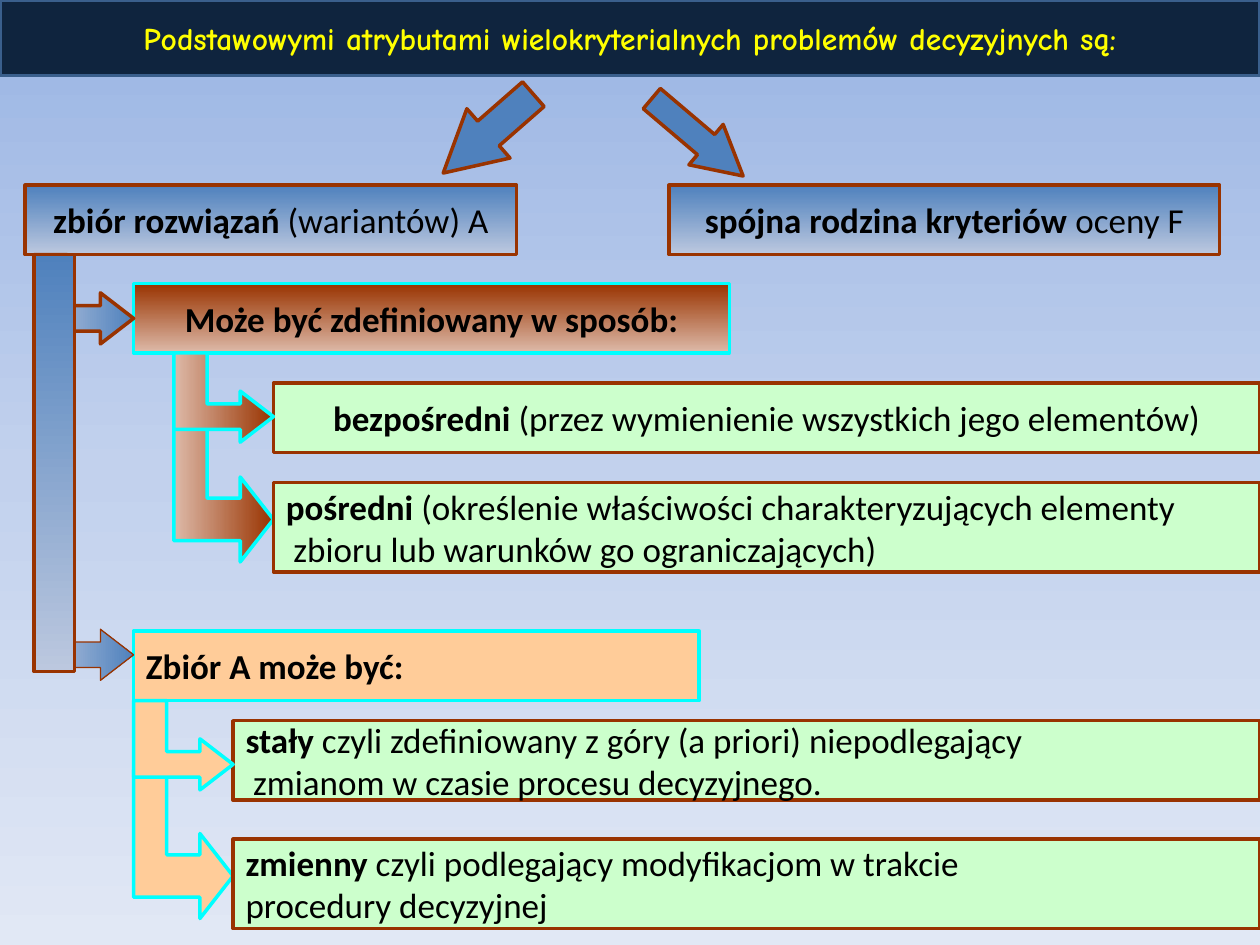
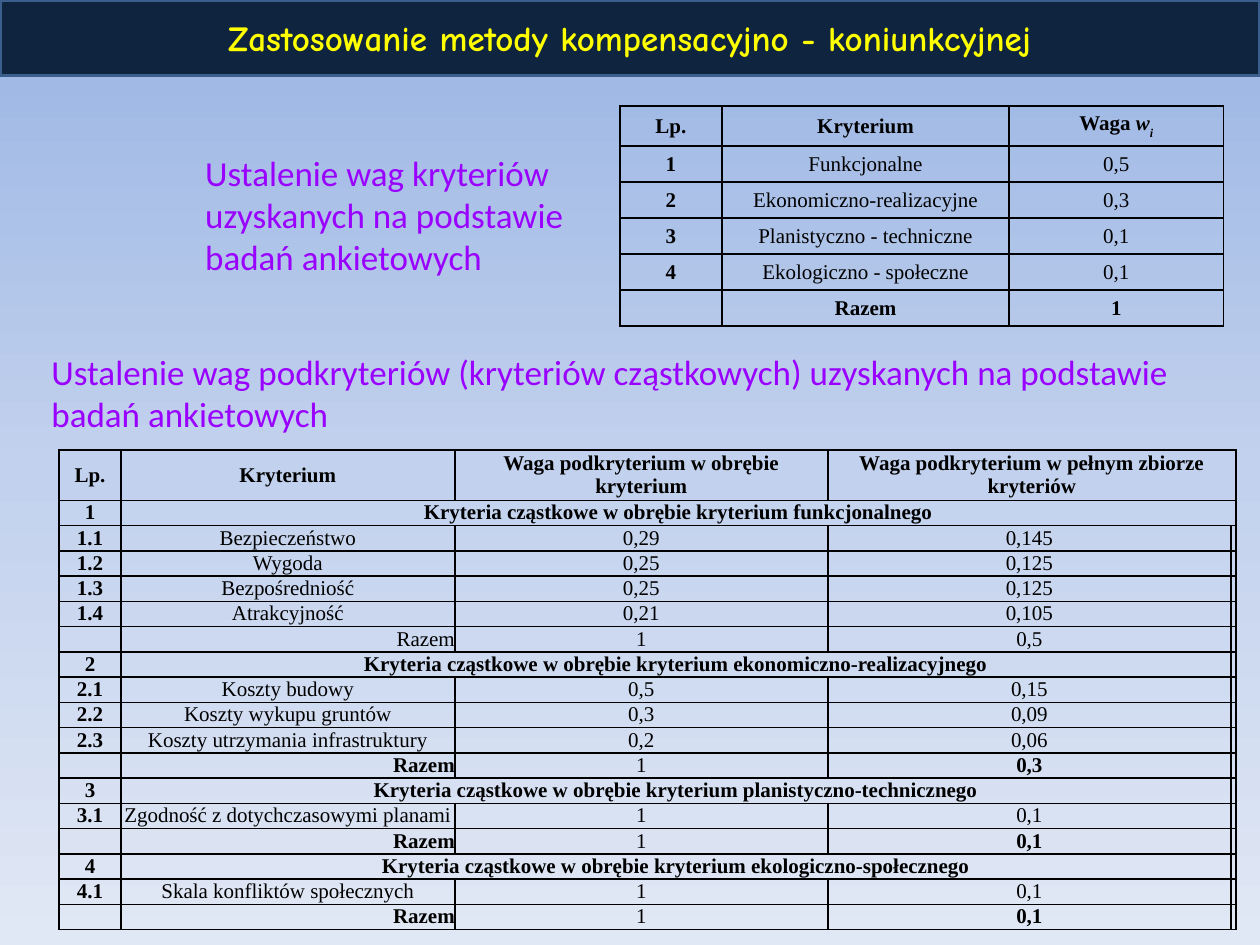
from copy import deepcopy

from lxml import etree
from pptx import Presentation
from pptx.dml.color import RGBColor
from pptx.enum.shapes import MSO_SHAPE
from pptx.enum.text import MSO_ANCHOR, MSO_AUTO_SIZE, PP_ALIGN
from pptx.oxml.ns import qn
from pptx.util import Inches, Pt

RECT, ARROW = MSO_SHAPE.RECTANGLE, MSO_SHAPE.RIGHT_ARROW
MIDDLE, TOP = MSO_ANCHOR.MIDDLE, MSO_ANCHOR.TOP
LEFT, CENTER, RIGHT = PP_ALIGN.LEFT, PP_ALIGN.CENTER, PP_ALIGN.RIGHT
FIXED = MSO_AUTO_SIZE.NONE

WIDE, HIGH = Inches(10), Inches(7.5)
COL, ROW = WIDE / 10, HIGH / 7.5
SANS, COMIC, SERIF = "Calibri", "Comic Neue", "Times New Roman"
BLACK, NAVY, EDGE, YELLOW, VIOLET = "000000", "0F243E", "3A5F8C", "FFFF00", "9900FF"
BLUE, RUST, CYAN, MINT, PEACH = "4F81BD", "993300", "00FFFF", "CCFFCC", "FFCC99"
SKY = ("9AB5E4", "C2D1ED", "E1E8F5")
STEEL, CLAY = (BLUE, "BCC8DF"), (RUST, "DDBAA9")
ELBOW = ((3, 5), (2, 3), (2, 4), (1, 4), (1, 0), (0, 0), (0, 6), (2, 6), (2, 7))

WEIGHTS = (
    ("Lp.", "Kryterium", "Waga "),
    ("1", "Funkcjonalne", "0,5"),
    ("2", "Ekonomiczno-realizacyjne", "0,3"),
    ("3", "Planistyczno - techniczne", "0,1"),
    ("4", "Ekologiczno - społeczne", "0,1"),
    ("", "Razem", "1"),
)
HEADS = (
    "Lp.", "Kryterium", "Waga podkryterium w obrębie kryterium",
    "Waga podkryterium w pełnym zbiorze kryteriów", "",
)
GROUPS = (
    ("funkcjonalnego", "0,5", (
        ("Bezpieczeństwo", "0,29", "0,145"),
        ("Wygoda", "0,25", "0,125"),
        ("Bezpośredniość", "0,25", "0,125"),
        ("Atrakcyjność", "0,21", "0,105"),
    )),
    ("ekonomiczno-realizacyjnego", "0,3", (
        ("Koszty budowy", "0,5", "0,15"),
        ("Koszty wykupu gruntów", "0,3", "0,09"),
        ("Koszty utrzymania infrastruktury", "0,2", "0,06"),
    )),
    ("planistyczno-technicznego", "0,1", (
        ("Zgodność z dotychczasowymi planami", "1", "0,1"),
    )),
    ("ekologiczno-społecznego", "0,1", (
        ("Skala konfliktów społecznych", "1", "0,1"),
    )),
)


def tint(code):
    """Turn a hex string into a colour."""
    return RGBColor.from_string(code)


def place(left, top, width, height):
    """Turn grid columns and rows into slide lengths."""
    return int(left * COL), int(top * ROW), int(width * COL), int(height * ROW)


def blend(fill, codes, angle=270):
    """Fill with evenly spaced gradient stops."""
    fill.gradient()
    fill.gradient_angle = angle
    for stop, code, spot in zip(fill.gradient_stops, (codes[0], codes[-1]), (0, 1)):
        stop.color.rgb = tint(code)
        stop.position = spot


def paint(shape, fill, line, weight=2, angle=270):
    """Give a shape a plain or blended fill and an outline."""
    shape.shadow.inherit = False
    if isinstance(fill, tuple):
        blend(shape.fill, fill, angle)
    else:
        shape.fill.solid()
        shape.fill.fore_color.rgb = tint(fill)
    shape.line.color.rgb = tint(line)
    shape.line.width = Pt(weight)


def style(par, size, face, code, bold=None, align=LEFT):
    """Set the font and alignment of a paragraph."""
    par.alignment = align
    font = par.font
    font.size, font.name, font.bold = Pt(size), face, bold
    font.color.rgb = tint(code)


def start(deck, title, size):
    """Add a slide with the shared backdrop and title band."""
    slide = deck.slides.add_slide(deck.slide_layouts[5])
    fill = slide.background.fill
    blend(fill, SKY)
    stops = slide.background._cSld.find(".//" + qn("a:gsLst"))
    stops.insert(1, deepcopy(stops[0]))
    mid = fill.gradient_stops[1]
    mid.color.rgb, mid.position = tint(SKY[1]), 0.5
    band = slide.shapes.title
    band.left, band.top, band.width, band.height = place(0, 0, 10, 0.6)
    paint(band, NAVY, EDGE)
    frame = band.text_frame
    frame.text = title
    frame.auto_size, frame.word_wrap, frame.vertical_anchor = FIXED, True, MIDDLE
    style(frame.paragraphs[0], size, COMIC, YELLOW, True, CENTER)
    return slide


def panel(slide, box, fill, line, key, rest="", align=LEFT, more="", dent=0):
    """Add a box with a bold key, its text and a second line."""
    shape = slide.shapes.add_shape(RECT, *place(*box))
    paint(shape, fill, line)
    frame = shape.text_frame
    frame.word_wrap, frame.vertical_anchor = False, MIDDLE
    par = frame.paragraphs[0]
    style(par, 20, SANS, BLACK, align=align)
    for text, bold in ((key, True), (rest, False)):
        if text:
            run = par.add_run()
            run.text, run.font.bold = text, bold
    if more:
        par = frame.add_paragraph()
        par.text = more
        par._p.get_or_add_pPr().set("marL", str(Inches(dent)))
        style(par, 20, SANS, BLACK)


def elbow(slide, box, fill, line, weight=2):
    """Add an arrow that runs down and turns right, on a 3 by 7 grid."""
    left, top, width, height = place(*box)
    spots = [(int(left + x * width / 3), int(top + y * height / 7)) for x, y in ELBOW]
    build = slide.shapes.build_freeform(*spots[0])
    build.add_line_segments(spots[1:], close=True)
    if isinstance(fill, tuple):
        fill = fill[::-1]
    paint(build.convert_to_shape(), fill, line, weight, 0)


def point(slide, box, turn):
    """Add a turned block arrow."""
    shape = slide.shapes.add_shape(ARROW, *place(*box))
    shape.adjustments[0], shape.adjustments[1] = 0.5, 0.917
    shape.rotation = turn
    paint(shape, BLUE, RUST)


def branch(slide, box, fill, head, align, shift, drop, leaves):
    """Add a head box with two elbows leading to its leaves."""
    left, top, width, height = box
    stem, base = left + shift, top + height
    elbow(slide, (stem, base + drop, 0.79, 1.18), fill, CYAN)
    panel(slide, box, fill, CYAN, head, align=align)
    inner = stem + 0.79
    for gap, tall, words in leaves:
        panel(slide, (inner, base + gap, 10 - inner, tall), MINT, RUST, *words)
    elbow(slide, (stem, base, 0.79, 0.71), fill, CYAN)


def trunk(slide, box):
    """Add the side column and its two arrows."""
    left, top, width, height = box
    for gap, weight in ((0, 2), (2.67, 0.75)):
        elbow(slide, (left, top + gap, 0.79, 0.71), STEEL, RUST, weight)
    paint(slide.shapes.add_shape(RECT, *place(*box)), STEEL, RUST)


def traits(deck):
    """Build the slide of problem attributes."""
    slide = start(
        deck, "Podstawowymi atrybutami wielokryterialnych problemów decyzyjnych są:", 18
    )
    point(slide, (5.06, 0.88, 0.95, 0.42), 40.3)
    point(slide, (3.4, 0.8, 0.95, 0.52), 138.8)
    for left, width, key, rest in (
        (0.2, 3.9, "zbiór rozwiązań", " (wariantów) A"),
        (5.31, 4.37, "spójna rodzina kryteriów", " oceny F"),
    ):
        panel(slide, (left, 1.47, width, 0.55), STEEL, RUST, key, rest, CENTER)
    branch(
        slide, (1.06, 2.25, 4.73, 0.55), CLAY, "Może być zdefiniowany w sposób:",
        CENTER, 0.32, 0.48, (
            (0.24, 0.55, ("bezpośredni ", "(przez wymienienie wszystkich jego elementów)",
                          CENTER)),
            (1.03, 0.71, ("pośredni ", "(określenie właściwości charakteryzujących elementy",
                          LEFT, "zbioru lub warunków go ograniczających)", 0.06)),
        ),
    )
    branch(
        slide, (1.06, 5.01, 4.49, 0.55), PEACH, "Zbiór A może być:",
        LEFT, 0, 0.55, (
            (0.16, 0.63, ("stały ", "czyli zdefiniowany z góry (a priori) niepodlegający",
                          LEFT, "zmianom w czasie procesu decyzyjnego.", 0.06)),
            (1.1, 0.71, ("zmienny", " czyli podlegający modyfikacjom w trakcie",
                         LEFT, "procedury decyzyjnej")),
        ),
    )
    trunk(slide, (0.27, 2.02, 0.32, 3.31))


def grid(slide, spot, cols, rows):
    """Add an empty table with the given column widths and row heights."""
    box = place(*spot, sum(cols), sum(rows))
    table = slide.shapes.add_table(len(rows), len(cols), *box).table
    table.first_row = table.horz_banding = False
    for part, width in zip(table.columns, cols):
        part.width = int(width * COL)
    for part, height in zip(table.rows, rows):
        part.height = int(height * ROW)
    return table


def fit(cell, text, bold, align=CENTER, tight=False):
    """Write a clear cell with black borders."""
    cell.fill.background()
    cell.vertical_anchor = MIDDLE
    if tight:
        cell.margin_left = cell.margin_right = cell.margin_top = cell.margin_bottom = 0
    par = cell.text_frame.paragraphs[0]
    if text:
        par.text = text
    else:
        etree.SubElement(par._p, qn("a:endParaRPr"), sz="1200")
    style(par, 12, SERIF, BLACK, bold, align)
    prop = cell._tc.get_or_add_tcPr()
    for spot, side in enumerate("LRTB"):
        line = etree.Element(qn("a:ln" + side), w=str(Pt(1)))
        fill = etree.SubElement(line, qn("a:solidFill"))
        etree.SubElement(fill, qn("a:srgbClr"), val=BLACK)
        prop.insert(spot, line)


def main_grid(slide, spot):
    """Add the table of main weights."""
    table = grid(slide, spot, (0.81, 2.28, 1.7), [0.32] + [0.28] * 5)
    last = len(WEIGHTS) - 1
    for r, line in enumerate(WEIGHTS):
        for c, text in enumerate(line):
            fit(table.cell(r, c), text, c == 0 or r in (0, last))
    par = table.cell(0, 2).text_frame.paragraphs[0]
    for text in "wi":
        run = par.add_run()
        run.text, run.font.italic = text, True
    run._r.get_or_add_rPr().set("baseline", "-30000")


def part_grid(slide, spot):
    """Add the table of partial weights, group by group."""
    lines = [(HEADS, (1,) * 5, CENTER, (3, 4))]
    for n, (name, total, items) in enumerate(GROUPS, 1):
        head = f"Kryteria cząstkowe w obrębie kryterium {name}"
        lines.append(((str(n), head, "", "", ""), (1,) * 5, CENTER, (1, 4 if n == 1 else 3)))
        for m, item in enumerate(items, 1):
            lines.append(((f"{n}.{m}", *item, ""), (1, 0, 0, 0, 0), CENTER, None))
        bold = n > 1
        lines.append((("", "Razem", "1", total, ""), (0, bold, 0, bold, 0), RIGHT, None))
    rows = [0.4] + [0.2] * (len(lines) - 1)
    table = grid(slide, spot, (0.49, 2.65, 2.96, 3.2, 0.03), rows)
    for r, (texts, bolds, align, span) in enumerate(lines):
        for c, (text, bold) in enumerate(zip(texts, bolds)):
            fit(table.cell(r, c), text, bool(bold), align if c == 1 else CENTER, True)
        if span:
            table.cell(r, span[0]).merge(table.cell(r, span[1]))


def note(slide, box, text, anchor):
    """Add a violet note."""
    frame = slide.shapes.add_textbox(*place(*box)).text_frame
    frame.word_wrap, frame.vertical_anchor = True, anchor
    frame.text = text
    style(frame.paragraphs[0], 20, SANS, VIOLET)


def method(deck):
    """Build the slide of weight tables."""
    slide = start(deck, "Zastosowanie metody kompensacyjno - koniunkcyjnej", 20)
    main_grid(slide, (4.92, 0.84))
    note(slide, (1.53, 1.15, 3.31, 1.1),
         "Ustalenie wag kryteriów uzyskanych na podstawie badań ankietowych", MIDDLE)
    part_grid(slide, (0.47, 3.57))
    note(slide, (0.31, 2.73, 9.73, 0.77),
         "Ustalenie wag podkryteriów (kryteriów cząstkowych) uzyskanych na podstawie "
         "badań ankietowych", TOP)


def main():
    """Build and save the deck."""
    deck = Presentation()
    deck.slide_width, deck.slide_height = WIDE, HIGH
    traits(deck)
    method(deck)
    deck.save("out.pptx")


if __name__ == "__main__":
    main()
